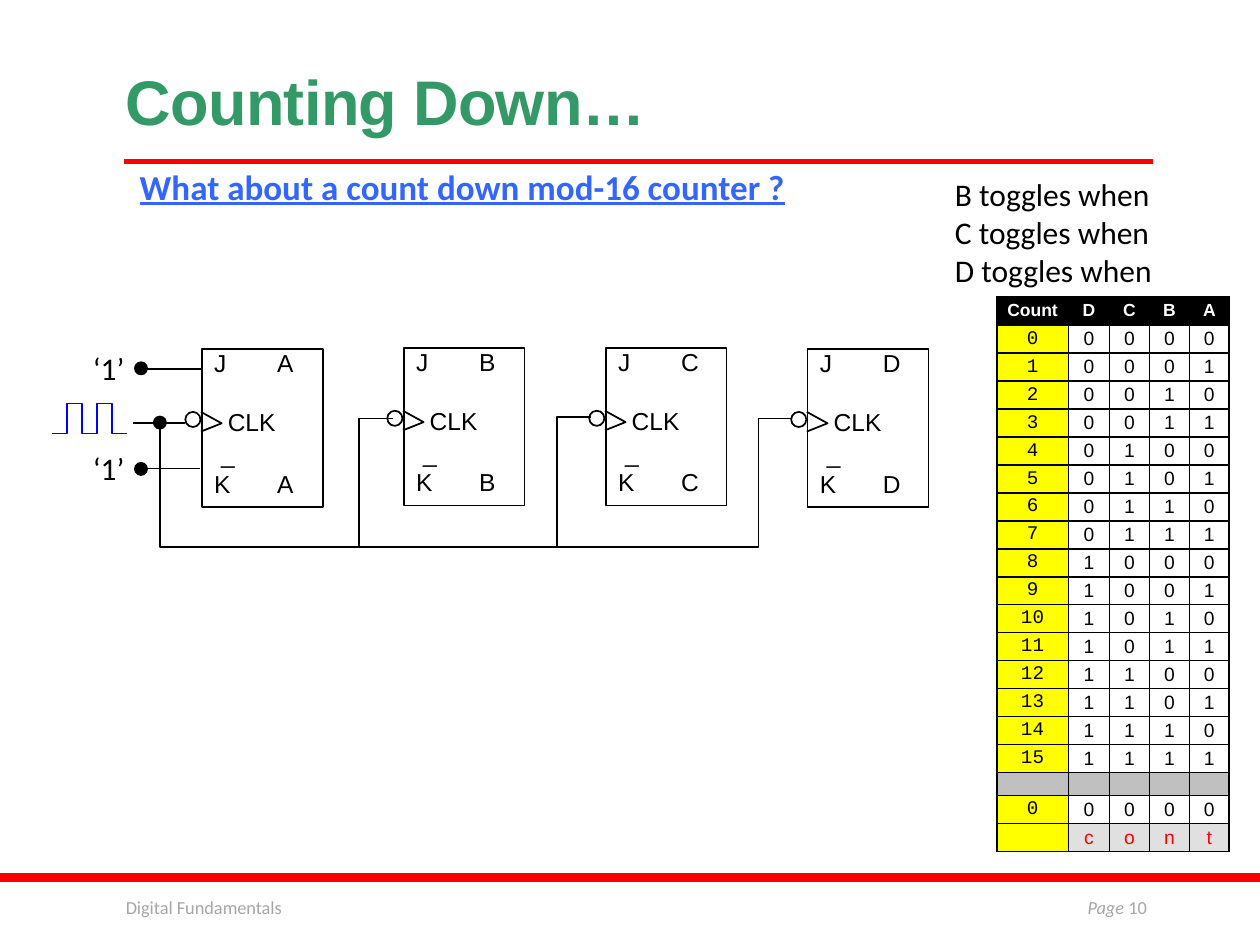
import pptx
import pptx.dml.color
import pptx.enum.shapes
import pptx.enum.text
import pptx.oxml
import pptx.oxml.ns
import pptx.util
from lxml import etree

Pt = pptx.util.Pt
qn = pptx.oxml.ns.qn
ALIGN = pptx.enum.text.PP_ALIGN
ANCHOR = pptx.enum.text.MSO_ANCHOR
SHAPE = pptx.enum.shapes.MSO_SHAPE
BLACK = "000000"
RED = "FF0000"
YELLOW = "FFFF00"
GREY = "A6A6A6"


def color(value):
    return pptx.dml.color.RGBColor.from_string(value)


def format_run(run, size, font, fill, bold=False, italic=False):
    run.font.size = Pt(size)
    run.font.name = font
    run.font.color.rgb = color(fill)
    run.font.bold = bold
    run.font.italic = italic


def add_text(slide, box, text, size, font="Calibri", fill=BLACK, bold=False, wrap=True):
    shape = slide.shapes.add_textbox(*map(Pt, box))
    text_frame = shape.text_frame
    text_frame.word_wrap = wrap
    text_frame.text = text
    for paragraph in text_frame.paragraphs:
        for run in paragraph.runs:
            format_run(run, size, font, fill, bold)
    return shape


def add_line(slide, start, end, stroke=BLACK, width=1):
    connector = slide.shapes.add_connector(
        pptx.enum.shapes.MSO_CONNECTOR.STRAIGHT, *map(Pt, start + end))
    connector.line.color.rgb = color(stroke)
    connector.line.width = Pt(width)
    etree.SubElement(connector.element.spPr, qn("a:effectLst"))


def style_shape(shape, fill=None, stroke=None, width=1):
    shape.shadow.inherit = False
    if fill:
        shape.fill.solid()
        shape.fill.fore_color.rgb = color(fill)
    else:
        shape.fill.background()
    if stroke:
        shape.line.color.rgb = color(stroke)
        shape.line.width = Pt(width)
    else:
        shape.line.fill.background()


def add_shape(slide, kind, box, fill=None, stroke=None, width=1):
    shape = slide.shapes.add_shape(kind, *map(Pt, box))
    style_shape(shape, fill, stroke, width)
    return shape


def add_path(slide, points, stroke=BLACK):
    points = [(Pt(x), Pt(y)) for x, y in points]
    builder = slide.shapes.build_freeform(*points[0])
    builder.add_line_segments(points[1:], close=False)
    style_shape(builder.convert_to_shape(), stroke=stroke)


def add_header(slide, left, top, width):
    add_line(slide, (left + 6, top + 70), (left + width, top + 70), RED, 3)
    title = add_text(slide, (left, top, width, 60.5), "Counting Down…", 36,
                     "Arial", "339966", bold=True)
    title.text_frame.vertical_anchor = ANCHOR.BOTTOM
    paragraph = title.text_frame.paragraphs[0]
    paragraph.line_spacing = 0.85
    paragraph.runs[0].font._element.set("spc", "-40")
    question = add_text(slide, (left + 8, top + 68.5, 445.5, 31.5),
                        "What about a count down mod-16 counter ?", 20,
                        fill="3366FF", bold=True)
    question.text_frame.paragraphs[0].runs[0].font.underline = True


def add_footer(slide, left, top, width):
    add_shape(slide, SHAPE.RECTANGLE, (0, top - 9.3, 720, 5), RED)
    add_text(slide, (left, top, 285, 29), "Digital Fundamentals", 10.5, fill=GREY)
    page = add_text(slide, (left + width - 78, top, 78, 29), "Page ", 10.5, fill=GREY)
    paragraph = page.text_frame.paragraphs[0]
    paragraph.alignment = ALIGN.RIGHT
    paragraph.runs[0].font.italic = True
    number = paragraph.add_run()
    number.text = "10"
    format_run(number, 10.5, "Calibri", GREY)


def add_flip_flop(slide, left, top, name, name_tab):
    add_shape(slide, SHAPE.OVAL, (left - 9.4, top + 36, 8.64, 8.64), stroke=BLACK)
    add_path(slide, [(left - 0.4, top + 36), (left + 11.4, top + 42.5),
                     (left - 0.4, top + 47.2)])
    body = add_shape(slide, SHAPE.RECTANGLE, (left, top, 69.1, 90.2), stroke=BLACK)
    text_frame = body.text_frame
    text_frame.word_wrap = True
    text_frame.vertical_anchor = ANCHOR.TOP
    text_frame.margin_left = text_frame.margin_right = text_frame.margin_top = Pt(7.2)
    text_frame.margin_bottom = Pt(3.6)
    lines = [(f"J\t{name}", 0, 25, name_tab), ("CLK", 7.8, 9, None),
             ("_", 4, 8, None), (f"K\t{name}", 0, 8, 44.3)]
    text_frame.text = "\n".join(line[0] for line in lines)
    for paragraph, (_, indent, space_after, tab) in zip(text_frame.paragraphs, lines):
        paragraph.alignment = ALIGN.LEFT
        paragraph.line_spacing = Pt(9)
        paragraph.space_after = Pt(space_after)
        properties = paragraph._p.get_or_add_pPr()
        properties.set("marL", str(Pt(indent)))
        properties.set("indent", "0")
        if tab:
            tabs = etree.SubElement(properties, qn("a:tabLst"))
            etree.SubElement(tabs, qn("a:tab"), pos=str(Pt(tab)), algn="l")
        for run in paragraph.runs:
            format_run(run, 14, "Arial", BLACK)


def add_inputs(slide, left, top):
    for row, end in ((0, 86.4), (56.9, 85)):
        add_text(slide, (left + 16.5, top + row, 33, 29), "‘1’", 18, wrap=False)
        add_line(slide, (left + 50.5, top + row + 15), (left + end, top + row + 15))
    add_line(slide, (left + 46.8, top + 46), (left + 76.3, top + 46))
    for x, y in ((47.5, 11), (58.3, 42), (47.5, 68.5)):
        add_shape(slide, SHAPE.OVAL, (left + x, top + y, 7.2, 7.2), BLACK, BLACK, 0.75)
    low, high = top + 51.8, top + 34.6
    levels = (low, high, low, high, low)
    pulse = [(left + 8.64 * (step + side), level)
             for step, level in enumerate(levels) for side in (0, 1)]
    add_path(slide, pulse, "0000FF")


def add_counter(slide, left, top):
    bus = top + 116.6
    add_path(slide, [(left + 61.9, top + 45.4), (left + 61.9, bus), (left + 403.9, bus),
                     (left + 403.9, top + 43.2), (left + 422.6, top + 43.2)])
    for x, y in ((175.7, 43.2), (288.7, 42.5)):
        add_path(slide, [(left + x + 19.4, top + y), (left + x, top + y),
                         (left + x, top + y + 73.4)])
    add_inputs(slide, left, top)
    blocks = (("A", 3.5, 45.9), ("B", 2.8, 42), ("C", 2.8, 38.1), ("D", 3.5, 42))
    for index, (name, drop, name_tab) in enumerate(blocks):
        add_flip_flop(slide, left + 85.8 + 115.4 * index, top + drop, name, name_tab)


def format_cell(cell, text, size, font, fill, background, bold):
    cell.margin_left = cell.margin_right = Pt(5)
    cell.margin_top = cell.margin_bottom = 0
    cell.vertical_anchor = ANCHOR.MIDDLE
    properties = cell._tc.get_or_add_tcPr()
    for side in ("lnL", "lnR", "lnT", "lnB"):
        border = etree.SubElement(properties, qn(f"a:{side}"), w=str(Pt(1)))
        solid = etree.SubElement(border, qn("a:solidFill"))
        etree.SubElement(solid, qn("a:srgbClr"), val=BLACK)
    if background:
        cell.fill.solid()
        cell.fill.fore_color.rgb = color(background)
    else:
        cell.fill.background()
    cell.text_frame.text = text
    paragraph = cell.text_frame.paragraphs[0]
    paragraph.alignment = ALIGN.CENTER
    for run in paragraph.runs:
        format_run(run, size, font, fill, bold)
    if not text:
        etree.SubElement(paragraph._p, qn("a:endParaRPr"), sz="800")


def add_count_table(slide, left, top):
    counts = [[str(count), *f"{count:04b}"] for count in range(16)]
    rows = [["Count", *"DCBA"], *counts, [""] * 5, counts[0], ["", *"cont"]]
    widths = (40.9, 23.6, 22.8, 22.8, 22.8)
    frame = slide.shapes.add_table(len(rows), len(widths), Pt(left), Pt(top),
                                   Pt(sum(widths)), Pt(317.2))
    table = frame.table
    table.first_row = table.horz_banding = False
    for column, width in zip(table.columns, widths):
        column.width = Pt(width)
    gap_row, last_row = len(rows) - 3, len(rows) - 1
    for row, values in enumerate(rows):
        table.rows[row].height = Pt(13.2 if row == gap_row else 16)
        for column, text in enumerate(values):
            size, font, fill, background = 11, "Arial", BLACK, None
            if row == 0:
                size, fill, background = 10, "FFFFFF", BLACK
            elif row == gap_row:
                background = "C0C0C0"
            elif column == 0:
                font, background = "Courier New", YELLOW
            elif row == last_row:
                fill, background = RED, "E0E0E0"
            format_cell(table.cell(row, column), text, size, font, fill, background, row == 0)


def add_toggle_panel(slide, left, top):
    toggles = "\n".join(f"{name} toggles when" for name in "BCD")
    add_text(slide, (left, top, 188.6, 72.7), toggles, 18)
    add_count_table(slide, left + 31, top + 73.2)


def main():
    presentation = pptx.Presentation()
    presentation.slide_width, presentation.slide_height = Pt(720), Pt(540)
    slide = presentation.slides.add_slide(presentation.slide_layouts[6])
    add_footer(slide, 64.8, 508.3, 597.6)
    add_header(slide, 64.8, 22.3, 594)
    add_counter(slide, 29.5, 195.9)
    add_toggle_panel(slide, 538.6, 96.5)
    presentation.save("out.pptx")


if __name__ == "__main__":
    main()
